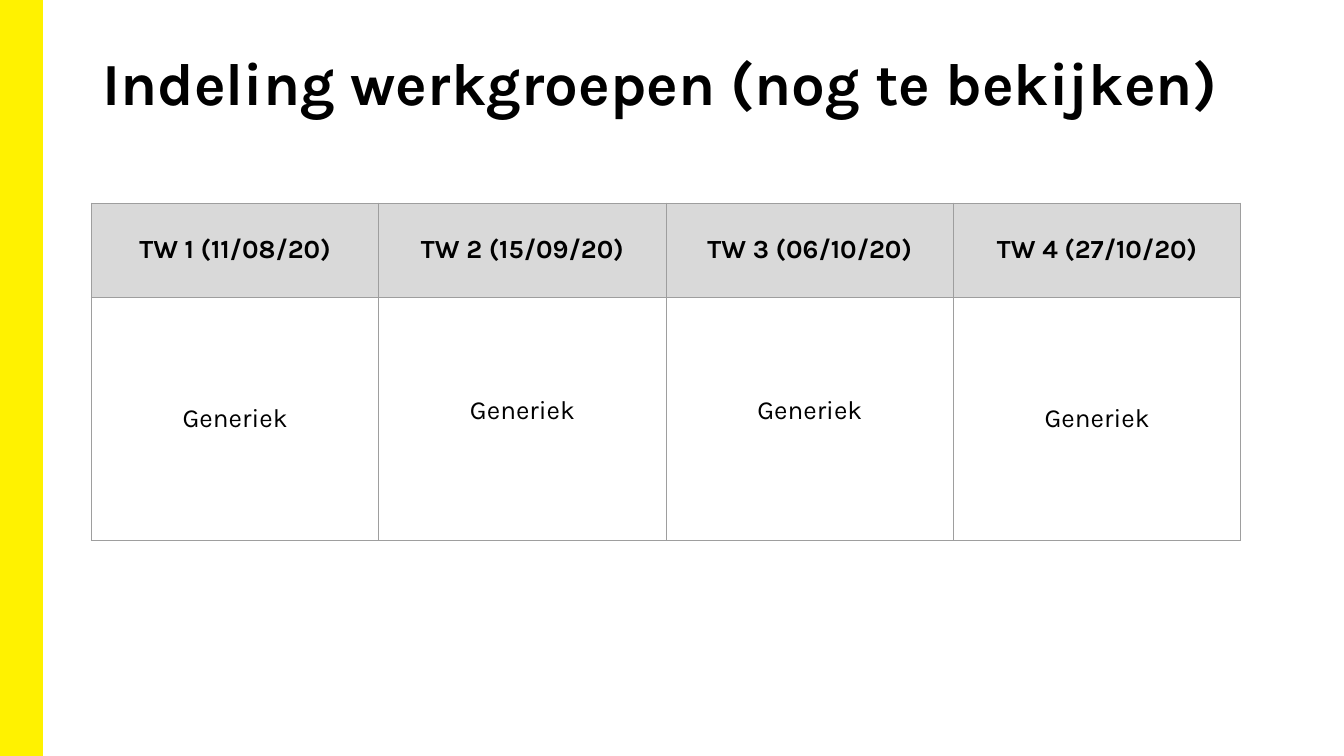
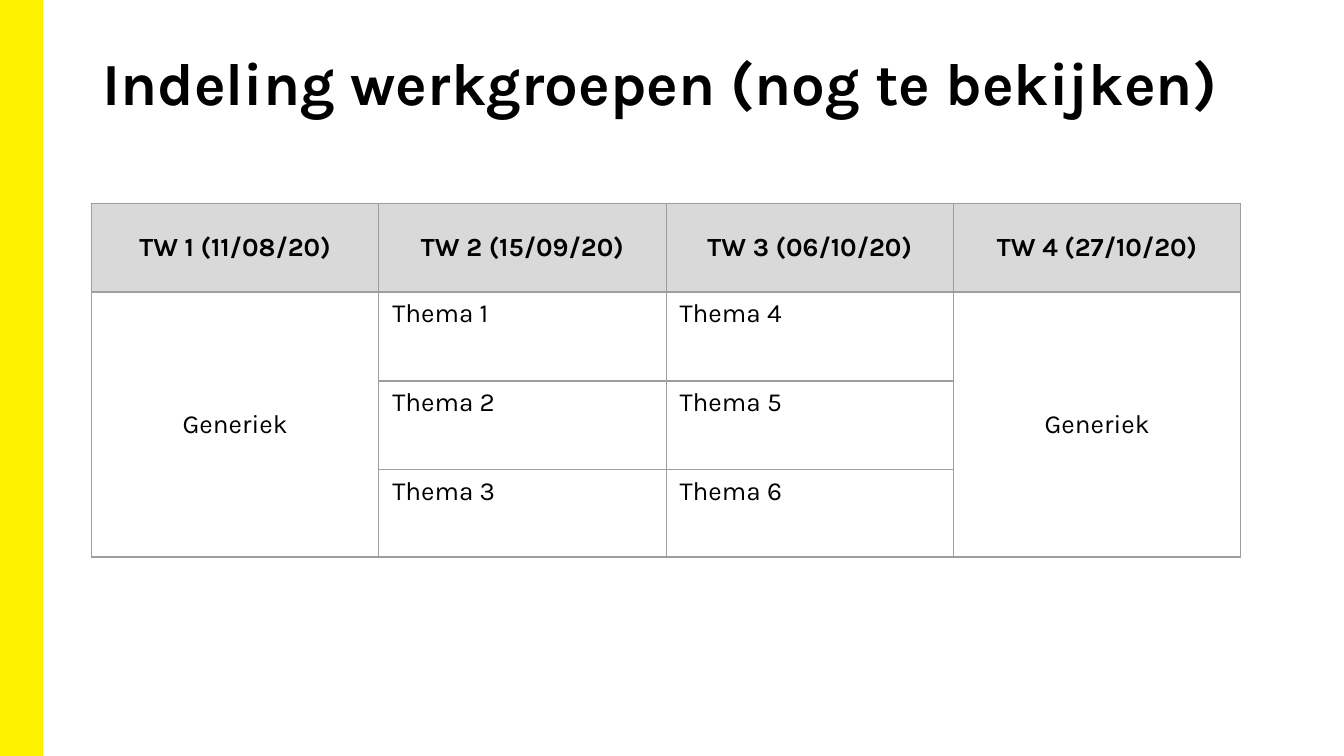
from dataclasses import dataclass

from lxml import etree
from pptx import Presentation
from pptx.dml.color import RGBColor
from pptx.enum.shapes import MSO_SHAPE
from pptx.enum.text import MSO_ANCHOR, PP_ALIGN
from pptx.oxml.ns import qn
from pptx.util import Cm, Pt

RECTANGLE = MSO_SHAPE.RECTANGLE
TOP, MIDDLE = MSO_ANCHOR.TOP, MSO_ANCHOR.MIDDLE
LEFT, CENTER = PP_ALIGN.LEFT, PP_ALIGN.CENTER


@dataclass(frozen=True)
class Theme:
    font: str = "Karla"
    text: str = "000000"
    band: str = "FFF200"
    header: str = "D9D9D9"
    border: str = "9E9E9E"
    title_size: int = 32
    table_size: int = 14
    border_width: float = 0.75


THEME = Theme()
SLIDE_WIDTH, SLIDE_HEIGHT = Cm(25.4), Cm(14.29)
TITLE = "Indeling werkgroepen (nog te bekijken)"
SESSIONS = ["TW 1 (11/08/20)", "TW 2 (15/09/20)", "TW 3 (06/10/20)", "TW 4 (27/10/20)"]
GENERIC = "Generiek"
THEMES = [("Thema 1", "Thema 4"), ("Thema 2", "Thema 5"), ("Thema 3", "Thema 6")]
COLUMN_WIDTH = Cm(5.43)
RAISED_MARGIN = Cm(1.85)


def write_text(frame, text, size=THEME.table_size, bold=False, align=LEFT):
    paragraph = frame.paragraphs[0]
    paragraph.alignment = align
    run = paragraph.add_run()
    run.text = text
    run.font.name = THEME.font
    run.font.size = Pt(size)
    run.font.bold = bold
    run.font.color.rgb = RGBColor.from_string(THEME.text)


def add_band(slide):
    band = slide.shapes.add_shape(RECTANGLE, 0, 0, Cm(0.8), SLIDE_HEIGHT)
    band.shadow.inherit = False
    color = RGBColor.from_string(THEME.band)
    band.fill.solid()
    band.fill.fore_color.rgb = color
    band.line.color.rgb = color
    band.line.width = Pt(1)


def add_title(slide, text):
    box = slide.shapes.add_textbox(Cm(1.75), Cm(0.76), Cm(21.9), Cm(2.06))
    frame = box.text_frame
    frame.word_wrap = True
    frame.margin_left = frame.margin_right = Cm(0.18)
    frame.margin_top = frame.margin_bottom = Cm(0.1)
    write_text(frame, text, size=THEME.title_size, bold=True)


def add_borders(cell):
    properties = cell._tc.get_or_add_tcPr()
    for side in ("lnL", "lnR", "lnT", "lnB"):
        line = etree.SubElement(properties, qn(f"a:{side}"), w=str(Pt(THEME.border_width)))
        fill = etree.SubElement(line, qn("a:solidFill"))
        etree.SubElement(fill, qn("a:srgbClr"), val=THEME.border)


def add_session_table(slide, row_heights):
    """Add the bordered grid with its header row and return the table."""
    columns = len(SESSIONS)
    frame = slide.shapes.add_table(len(row_heights), columns, Cm(1.73), Cm(3.84),
                                   COLUMN_WIDTH * columns, Cm(sum(row_heights)))
    table = frame.table
    table.first_row = table.horz_banding = False
    for column in table.columns:
        column.width = COLUMN_WIDTH
    for row, height in zip(table.rows, row_heights):
        row.height = Cm(height)
    for cell in table.iter_cells():
        add_borders(cell)
        cell.fill.background()
    for column, session in enumerate(SESSIONS):
        cell = table.cell(0, column)
        cell.fill.solid()
        cell.fill.fore_color.rgb = RGBColor.from_string(THEME.header)
        fill_cell(cell, session, bold=True, align=CENTER, anchor=MIDDLE)
    return table


def fill_cell(cell, text, anchor=TOP, **text_format):
    cell.vertical_anchor = anchor
    write_text(cell.text_frame, text, **text_format)


def start_slide(presentation):
    slide = presentation.slides.add_slide(presentation.slide_layouts[6])
    add_band(slide)
    add_title(slide, TITLE)
    return slide


def add_generic_slide(presentation):
    table = add_session_table(start_slide(presentation), [1.78, 4.6])
    # The outer sessions are centred, the inner ones sit slightly higher
    for column in (0, 3):
        fill_cell(table.cell(1, column), GENERIC, align=CENTER, anchor=MIDDLE)
    for column in (1, 2):
        cell = table.cell(1, column)
        cell.margin_top = RAISED_MARGIN
        fill_cell(cell, GENERIC, align=CENTER)


def add_themes_slide(presentation):
    table = add_session_table(start_slide(presentation), [1.68, 1.68, 1.68, 1.65])
    # The outer sessions span all theme rows
    for column in (0, 3):
        cell = table.cell(1, column)
        cell.merge(table.cell(len(THEMES), column))
        fill_cell(cell, GENERIC, align=CENTER, anchor=MIDDLE)
    for row, names in enumerate(THEMES, start=1):
        for column, name in enumerate(names, start=1):
            fill_cell(table.cell(row, column), name)


def main():
    presentation = Presentation()
    presentation.slide_width = SLIDE_WIDTH
    presentation.slide_height = SLIDE_HEIGHT
    add_generic_slide(presentation)
    add_themes_slide(presentation)
    presentation.save("out.pptx")


if __name__ == "__main__":
    main()
